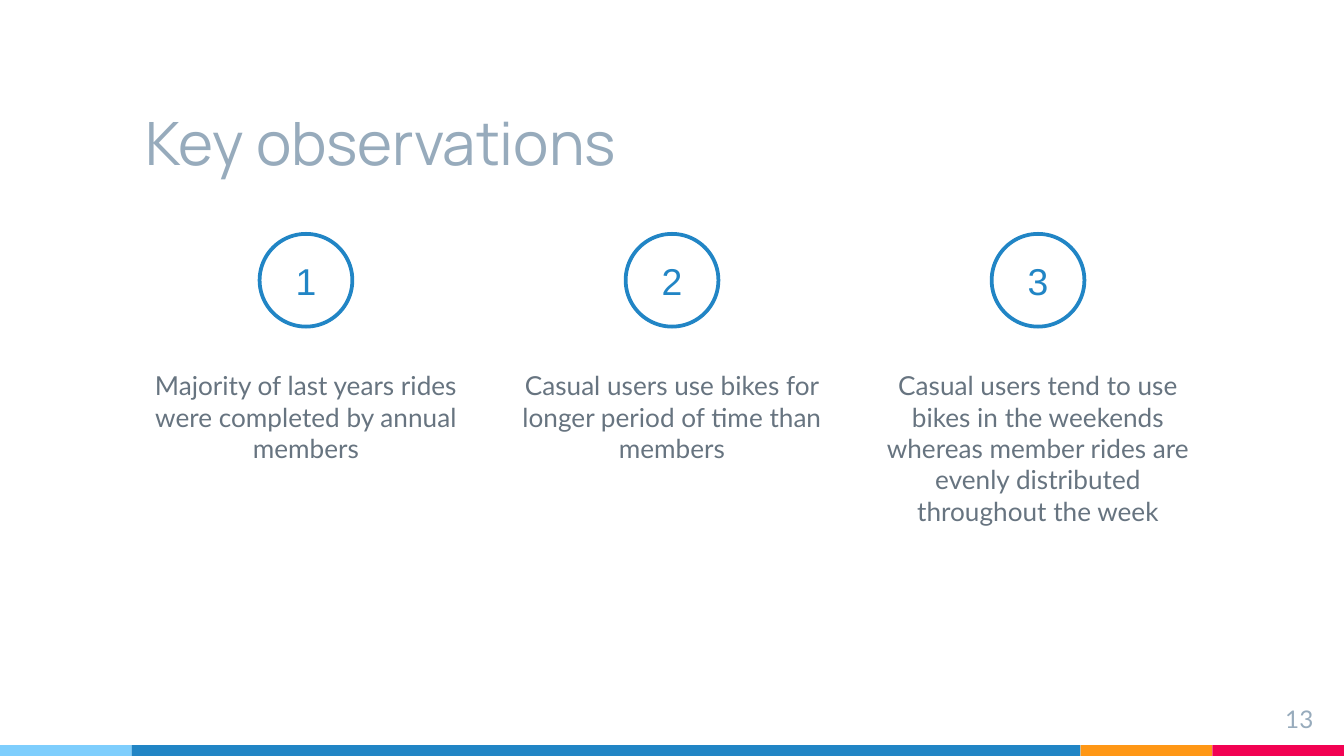
from pptx import Presentation
from pptx.dml.color import RGBColor as RGB
from pptx.enum.shapes import MSO_SHAPE as Shape
from pptx.enum.text import MSO_ANCHOR as Anchor, MSO_AUTO_SIZE as Fit, PP_ALIGN as Align
from pptx.oxml.ns import qn
from pptx.util import Inches, Pt
from lxml import etree

SKY = RGB(0x7E, 0xCE, 0xFD)
BLUE = RGB(0x21, 0x85, 0xC5)
AMBER = RGB(0xFF, 0x97, 0x15)
RED = RGB(0xF2, 0x02, 0x53)
MIST = RGB(0x97, 0xAB, 0xBC)
SLATE = RGB(0x67, 0x74, 0x80)
WHITE = RGB(0xFF, 0xFF, 0xFF)

WIDE = 10
HIGH = WIDE * 9 / 16
EDGE = 0.98

TITLE = {"name": "Manrope", "size": Pt(32), "bold": False}
BODY = {"name": "Lato", "size": Pt(14), "bold": False}
PAGE = {"name": "Lato", "size": Pt(13)}
DIGIT = {"name": "Arial", "size": Pt(20)}

NOTES = [
    "Majority of last years rides were completed by annual members",
    "Casual users use bikes for longer period of time than members",
    "Casual users tend to use bikes in the weekends whereas member rides "
    "are evenly distributed throughout the week",
]


def move(item, box):
    """Place an item at left, top, width, height in inches."""
    for name, size in zip(("left", "top", "width", "height"), box):
        setattr(item, name, Inches(size))


def write(item, text, style, color, align, anchor=Anchor.TOP):
    """Fill a text frame with one formatted paragraph."""
    frame = item.text_frame
    look = {"word_wrap": True, "auto_size": Fit.NONE, "vertical_anchor": anchor}
    for side in ("left", "top", "right", "bottom"):
        look["margin_" + side] = Inches(0.1)
    for name, value in look.items():
        setattr(frame, name, value)
    line = frame.paragraphs[0]
    line.alignment = align
    run = line.add_run()
    run.text = text
    for name, value in style.items():
        setattr(run.font, name, value)
    run.font.color.rgb = color
    return line


def draw(slide, kind, box, fill):
    """Add a flat shape with no outline."""
    item = slide.shapes.add_shape(kind, *map(Inches, box))
    item.shadow.inherit = False
    item.fill.solid()
    item.fill.fore_color.rgb = fill
    item.line.fill.background()
    return item


def add_stripe(slide, box):
    """Colour bands: one short at the left, two short at the right."""
    left, top, width, height = box
    long = width - 3 * EDGE
    for size, color in ((EDGE, SKY), (long, BLUE), (EDGE, AMBER), (EDGE, RED)):
        draw(slide, Shape.RECTANGLE, (left, top, size, height), color)
        left += size


def add_note(slide, holder, number, text, box):
    """Numbered ring above a centred, unbulleted text."""
    left, top, width, height = box
    ring, drop = 0.69, 0.91

    # Ring
    spot = (left + (width - ring) / 2, top, ring, ring)
    item = draw(slide, Shape.OVAL, spot, WHITE)
    item.line.color.rgb = BLUE
    item.line.width = Pt(2)
    write(item, str(number), DIGIT, BLUE, Align.CENTER, Anchor.MIDDLE)

    # Text
    move(holder, (left, top + drop, width, height - drop))
    line = write(holder, text, BODY, SLATE, Align.CENTER)
    line.space_before = Pt(6)
    props = line._p.get_or_add_pPr()
    props.set("marL", "0")
    props.set("indent", "0")
    etree.SubElement(props, qn("a:buNone"))


def add_notes(slide, holders, box):
    """Equal columns across the box."""
    left, top, width, height = box
    gap = 0.13
    col = (width - gap * (len(NOTES) - 1)) / len(NOTES)
    for i, (holder, text) in enumerate(zip(holders, NOTES)):
        spot = (left + i * (col + gap), top, col, height)
        add_note(slide, holder, i + 1, text, spot)


def main():
    deck = Presentation()
    deck.slide_width, deck.slide_height = Inches(WIDE), Inches(HIGH)
    slide = deck.slides.add_slide(deck.slide_layouts[4])
    title, *holders, spare = slide.placeholders
    spare.element.getparent().remove(spare.element)

    # Bottom stripe
    add_stripe(slide, (0, HIGH - 0.08, WIDE, 0.08))

    # Title
    move(title, (EDGE, 0.48, 7.07, 0.94))
    write(title, "Key observations", TITLE, MIST, Align.LEFT, Anchor.BOTTOM)

    # Observations
    add_notes(slide, holders, (EDGE, 1.74, 8.04, 2.88))

    # Page number
    page = slide.shapes.add_textbox(*map(Inches, (9.27, 5.14, 0.6, 0.34)))
    write(page, "13", PAGE, MIST, Align.RIGHT)

    deck.save("out.pptx")


if __name__ == "__main__":
    main()
